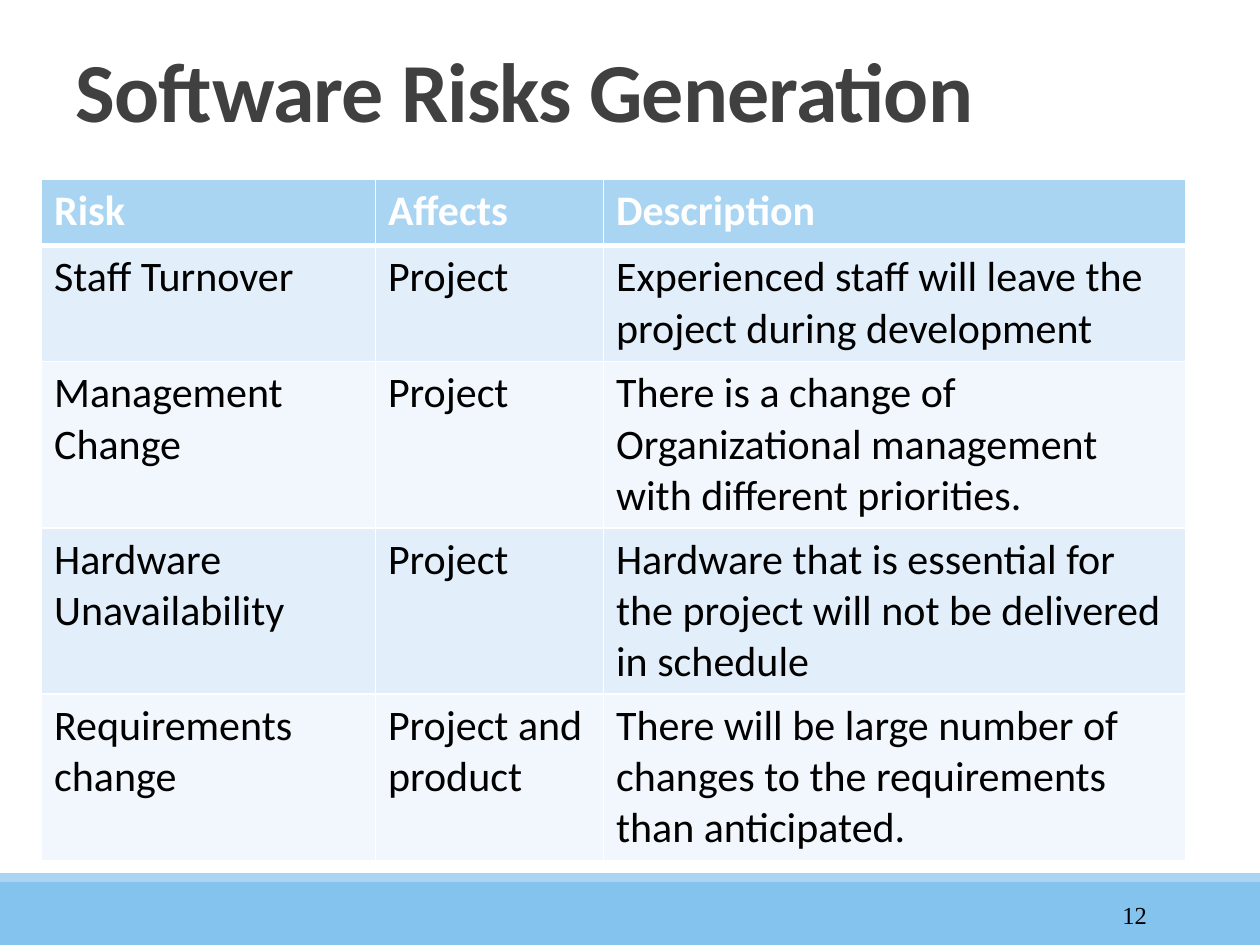
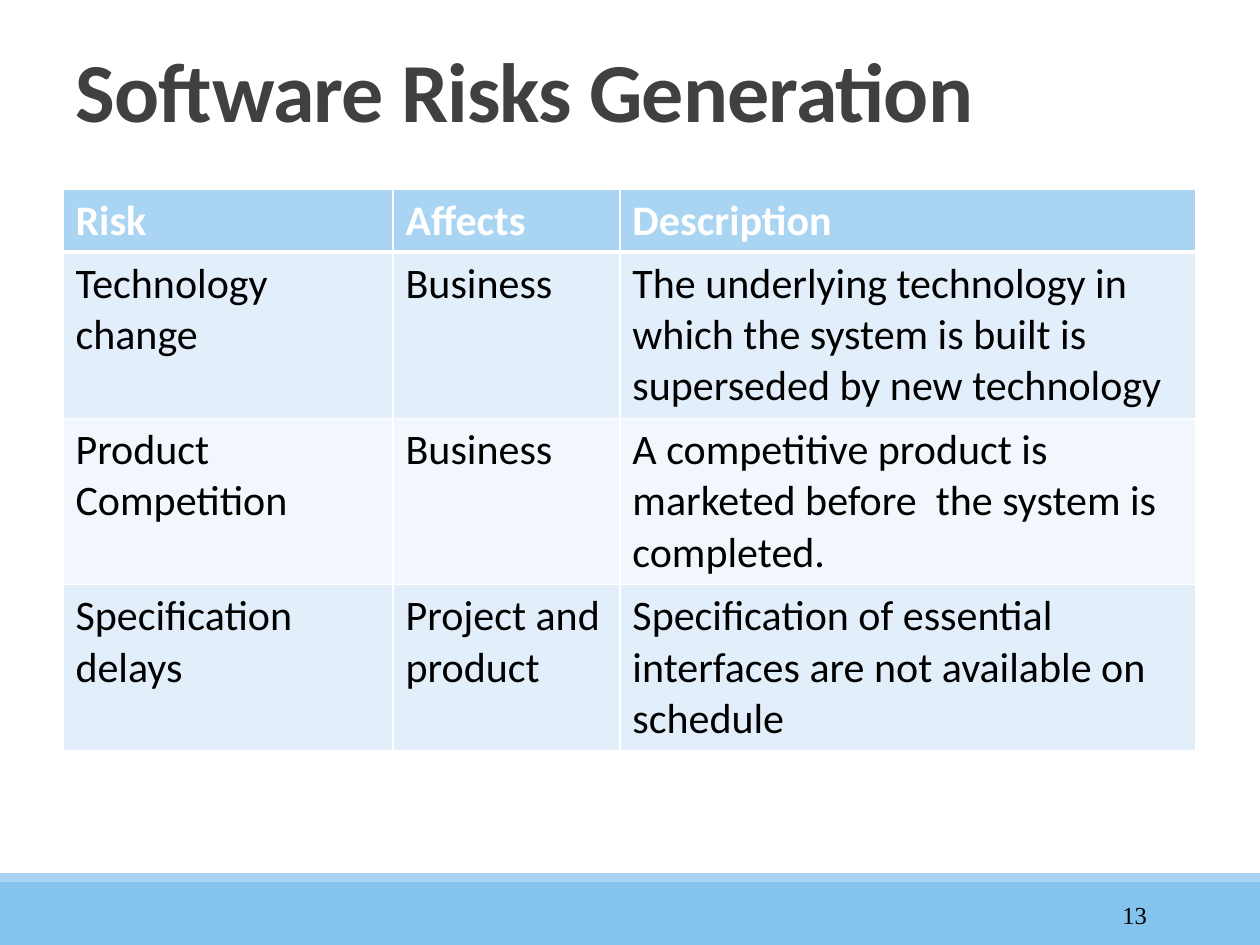
from lxml import etree
from pptx import Presentation
from pptx.dml.color import RGBColor
from pptx.enum.shapes import MSO_SHAPE
from pptx.enum.text import MSO_ANCHOR, PP_ALIGN
from pptx.oxml.ns import qn
from pptx.util import Inches, Pt

RECTANGLE = MSO_SHAPE.RECTANGLE
MIDDLE, BOTTOM = MSO_ANCHOR.MIDDLE, MSO_ANCHOR.BOTTOM
LEFT, RIGHT = PP_ALIGN.LEFT, PP_ALIGN.RIGHT

COLORS = {
    "band": "84C3ED",
    "accent": "A9D5F3",
    "odd_row": "E2EFFA",
    "even_row": "F1F7FD",
    "title": "404040",
    "text": "000000",
    "white": "FFFFFF",
}
BODY_FONT = "Calibri"
NUMBER_FONT = "Times New Roman"
SLIDE_WIDTH, SLIDE_HEIGHT = 10, 7.5
BAND_TOP, STRIPE_TOP = 7, 6.93

TITLE = "Software Risks Generation"
HEADER = ("Risk", "Affects", "Description")
RISK_SLIDES = [
    {
        "number": 12,
        "position": (0.33, 1.42),
        "columns": (2.65, 1.81, 4.62),
        "row_heights": (0.53, 0.92, 1.32, 1.32, 1.32),
        "risks": [
            ("Staff Turnover", "Project",
             "Experienced staff will leave the project during development"),
            ("Management Change", "Project",
             "There is a change of Organizational management with different priorities."),
            ("Hardware Unavailability", "Project",
             "Hardware that is essential for the project will not be delivered in schedule"),
            ("Requirements change", "Project and product",
             "There will be large number of changes to the requirements than anticipated."),
        ],
    },
    {
        "number": 13,
        "position": (0.5, 1.5),
        "columns": (2.62, 1.8, 4.57),
        "row_heights": (0.5, 1.32, 1.32, 1.32),
        "risks": [
            ("Technology change", "Business",
             "The underlying technology in which the system is built is superseded by new technology"),
            ("Product Competition", "Business",
             "A competitive product is marketed before  the system is completed."),
            ("Specification delays", "Project and product",
             "Specification of essential interfaces are not available on schedule"),
        ],
    },
]


def color(name):
    return RGBColor.from_string(COLORS[name])


def set_borders(cell, widths):
    """Draw white cell borders; widths maps L, R, T and B to points."""
    properties = cell._tc.get_or_add_tcPr()
    for side, width in widths.items():
        line = etree.SubElement(properties, qn(f"a:ln{side}"), w=str(Pt(width)))
        fill = etree.SubElement(line, qn("a:solidFill"))
        etree.SubElement(fill, qn("a:srgbClr"), val=COLORS["white"])


class Deck:
    def __init__(self):
        self.presentation = Presentation()
        self.presentation.slide_width = Inches(SLIDE_WIDTH)
        self.presentation.slide_height = Inches(SLIDE_HEIGHT)
        self.slide = None

    def add_slide(self, title, number):
        """Start a slide with the shared bands, page number and title."""
        self.slide = self.presentation.slides.add_slide(self.presentation.slide_layouts[6])
        self.add_band(BAND_TOP, SLIDE_HEIGHT - BAND_TOP, "band")
        self.add_band(STRIPE_TOP, BAND_TOP - STRIPE_TOP, "accent")
        self.add_text(str(number), (8.12, 7.06, 1.08, 0.4), MIDDLE, RIGHT,
                      14, "text", font_name=NUMBER_FONT)
        paragraph = self.add_text(title, (0.5, 0.31, 9.17, 0.85), BOTTOM, LEFT,
                                  48, "title", bold=True)
        paragraph.line_spacing = 0.85
        paragraph.runs[0].font._element.set("spc", "-50")

    def add_band(self, top, height, fill):
        shape = self.slide.shapes.add_shape(
            RECTANGLE, 0, Inches(top), Inches(SLIDE_WIDTH), Inches(height))
        shape.shadow.inherit = False
        shape.fill.solid()
        shape.fill.fore_color.rgb = color(fill)
        shape.line.fill.background()

    def style(self, paragraph, size, font_color, bold=False, font_name=BODY_FONT):
        font = paragraph.font
        font.name, font.size, font.bold = font_name, Pt(size), bold
        font.color.rgb = color(font_color)

    def add_text(self, text, box, anchor, alignment, size, font_color, **font_options):
        text_box = self.slide.shapes.add_textbox(*map(Inches, box))
        frame = text_box.text_frame
        frame.word_wrap = True
        frame.vertical_anchor = anchor
        paragraph = frame.paragraphs[0]
        paragraph.text = text
        paragraph.alignment = alignment
        self.style(paragraph, size, font_color, **font_options)
        return paragraph

    def add_table(self, rows, position, columns, row_heights):
        table = self.slide.shapes.add_table(
            len(rows), len(columns), *map(Inches, position),
            Inches(sum(columns)), Inches(sum(row_heights))).table
        for column, width in zip(table.columns, columns):
            column.width = Inches(width)
        for row_index, (row, height, texts) in enumerate(zip(table.rows, row_heights, rows)):
            row.height = Inches(height)
            is_header = row_index == 0
            row_fill = "accent" if is_header else ("even_row", "odd_row")[row_index % 2]
            borders = {"L": 1, "R": 1, "T": 3 if row_index == 1 else 1,
                       "B": 3 if is_header else 1}
            for cell, text in zip(row.cells, texts):
                set_borders(cell, borders)
                cell.fill.solid()
                cell.fill.fore_color.rgb = color(row_fill)
                cell.text = text
                self.style(cell.text_frame.paragraphs[0], 24,
                           "white" if is_header else "text", bold=is_header)


def main():
    deck = Deck()
    for content in RISK_SLIDES:
        deck.add_slide(TITLE, content["number"])
        deck.add_table([HEADER, *content["risks"]], content["position"],
                       content["columns"], content["row_heights"])
    deck.presentation.save("out.pptx")


if __name__ == "__main__":
    main()
